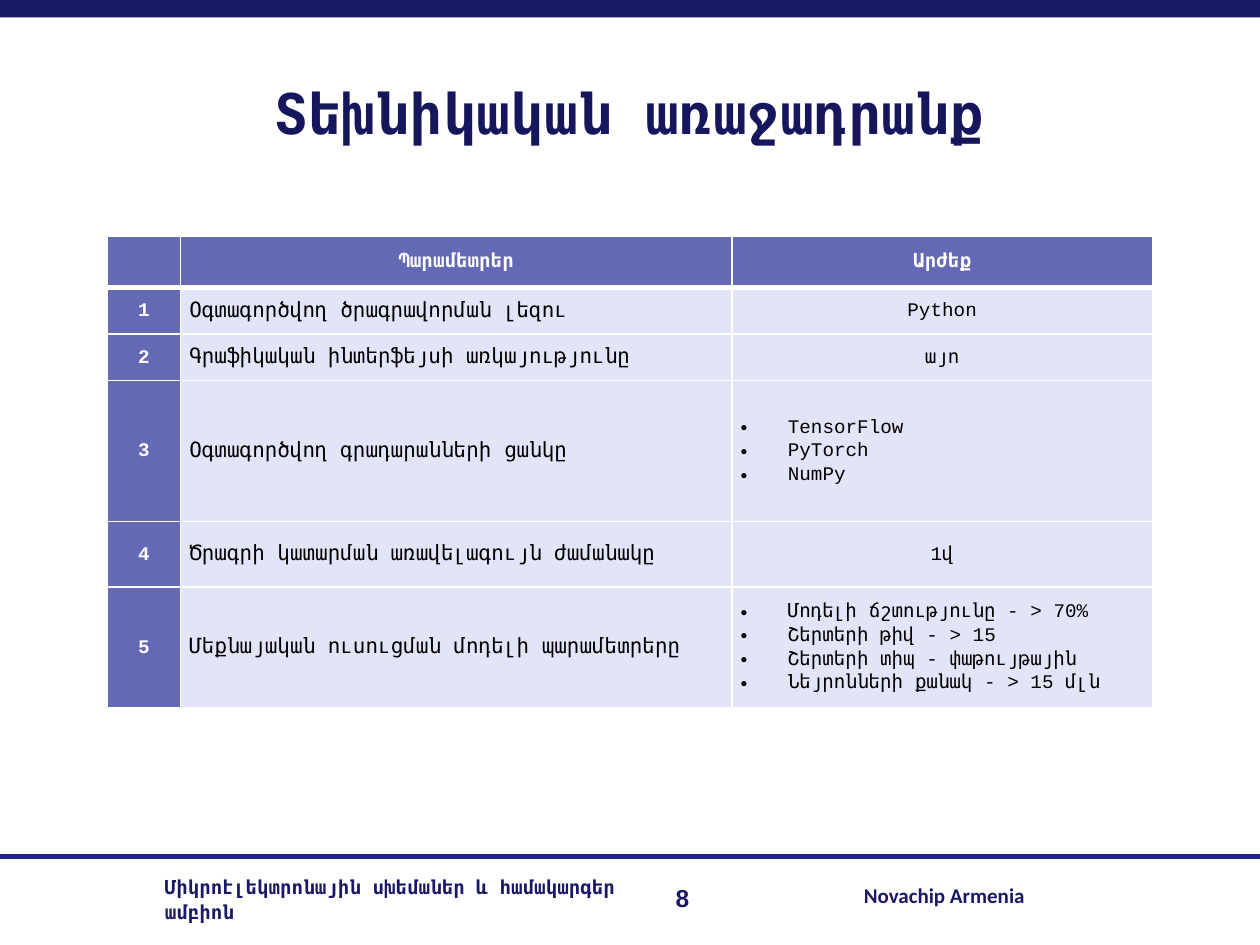
from lxml.etree import SubElement
from pptx import Presentation
from pptx.dml.color import RGBColor
from pptx.enum.shapes import MSO_CONNECTOR, MSO_SHAPE
from pptx.enum.text import MSO_ANCHOR, MSO_AUTO_SIZE, PP_ALIGN
from pptx.oxml import parse_xml
from pptx.oxml.ns import nsdecls, qn
from pptx.util import Pt

NAVY, TITLE_NAVY, RULE_BLUE = "191966", "16165D", "22228B"
HEADER_FILL, BODY_FILL = "6369B5", "E4E4F8"
WHITE, BLACK = "FFFFFF", "000000"
MONO = "Courier New"

COLUMN_WIDTHS = [42, 315, 240.5]
ROW_HEIGHTS = [29.5, 26.6, 26.6, 80.6, 37.4, 69.1]
HEADINGS = ["", "Պարամետրեր", "Արժեք"]
PARAMETERS = [
    ("Օգտագործվող ծրագրավորման լեզու", "Python"),
    ("Գրաֆիկական ինտերֆեյսի առկայությունը", "այո"),
    ("Օգտագործվող գրադարանների ցանկը", ["TensorFlow", "PyTorch", "NumPy"]),
    ("Ծրագրի կատարման առավելագույն ժամանակը", "1վ"),
    ("Մեքնայական ուսուցման մոդելի պարամետրերը", [
        "Մոդելի ճշտությունը - > 70%",
        "Շերտերի թիվ - > 15",
        "Շերտերի տիպ - փաթույթային",
        "Նեյրոնների քանակ - > 15 մլն",
    ]),
]


def color(value):
    return RGBColor.from_string(value)


def apply(target, values):
    for name, value in values.items():
        setattr(target, name, value)


def write(para, text, size, ink, bold=True, font=MONO, **layout):
    """Add one formatted span; layout holds paragraph attributes."""
    apply(para, layout)
    span = para.add_run()
    span.text = text
    apply(span.font, {"name": font, "size": Pt(size), "bold": bold})
    span.font.color.rgb = color(ink)


def add_bar(page, left, top, width, height, fill):
    bar = page.shapes.add_shape(MSO_SHAPE.RECTANGLE, Pt(left), Pt(top), Pt(width), Pt(height))
    bar.shadow.inherit = False
    bar.fill.solid()
    bar.fill.fore_color.rgb = color(fill)
    bar.line.fill.background()


def add_rule(page, top, width, ink):
    rule = page.shapes.add_connector(MSO_CONNECTOR.STRAIGHT, 0, Pt(top), Pt(720), Pt(top))
    rule.line.width = Pt(width)
    rule.line.color.rgb = color(ink)
    SubElement(rule._element.spPr, qn("a:effectLst"))


def add_label(page, left, top, width, height, text, size, **style):
    box = page.shapes.add_textbox(Pt(left), Pt(top), Pt(width), Pt(height))
    box.text_frame.word_wrap = True
    write(box.text_frame.paragraphs[0], text, size, NAVY, **style)


def set_title(page, text):
    title = page.shapes.title
    apply(title, {"left": Pt(36), "top": Pt(21.6), "width": Pt(647.3), "height": Pt(89.3)})
    apply(title.text_frame, {
        "word_wrap": True,
        "auto_size": MSO_AUTO_SIZE.NONE,
        "vertical_anchor": MSO_ANCHOR.MIDDLE,
    })
    write(title.text_frame.paragraphs[0], text, 32, TITLE_NAVY,
          alignment=PP_ALIGN.CENTER, line_spacing=0.93)


def set_borders(cell, **widths):
    properties = cell._tc.get_or_add_tcPr()
    for index, (side, width) in enumerate(widths.items()):
        properties.insert(index, parse_xml(
            f'<a:ln{side} {nsdecls("a")} w="{Pt(width)}"><a:solidFill>'
            f'<a:srgbClr val="{WHITE}"/></a:solidFill></a:ln{side}>'))


def add_bullet(para):
    properties = para._p.get_or_add_pPr()
    properties.set("marL", str(Pt(27)))
    properties.set("indent", str(Pt(-27)))
    SubElement(properties, qn("a:buFont"), typeface="Arial")
    SubElement(properties, qn("a:buChar"), char="•")


def fill_cell(cell, content, row, column):
    """Write a string, or a list as bullets, with the style of its place."""
    heading = row == 0 or column == 0
    bulleted = isinstance(content, list)
    apply(cell, {
        "margin_left": Pt(5), "margin_right": Pt(5), "margin_top": 0,
        "margin_bottom": 0, "vertical_anchor": MSO_ANCHOR.MIDDLE,
    })
    set_borders(cell, L=1, R=1, T=3 if row == 1 else 1, B=3 if row == 0 else 1)
    cell.fill.solid()
    cell.fill.fore_color.rgb = color(HEADER_FILL if heading else BODY_FILL)
    left_aligned = bulleted or (column == 1 and not heading)
    size = 12 if column == 1 and not heading else 11
    for index, text in enumerate(content if bulleted else [content]):
        frame = cell.text_frame
        para = frame.add_paragraph() if index else frame.paragraphs[0]
        write(para, text, size, WHITE if heading else BLACK, bold=heading,
              alignment=PP_ALIGN.LEFT if left_aligned else PP_ALIGN.CENTER,
              line_spacing=1.07)
        if bulleted:
            add_bullet(para)


def add_parameter_table(page):
    rows = [HEADINGS] + [
        [str(number), *parameter] for number, parameter in enumerate(PARAMETERS, 1)]
    table = page.shapes.add_table(
        len(rows), len(HEADINGS), Pt(61.2), Pt(134.8),
        Pt(sum(COLUMN_WIDTHS)), Pt(sum(ROW_HEIGHTS))).table
    for column, width in zip(table.columns, COLUMN_WIDTHS):
        column.width = Pt(width)
    for row, height in zip(table.rows, ROW_HEIGHTS):
        row.height = Pt(height)
    for row, contents in enumerate(rows):
        for column, content in enumerate(contents):
            fill_cell(table.cell(row, column), content, row, column)


def add_footer(page):
    add_rule(page, 489.6, 3, RULE_BLUE)
    add_label(page, 87.1, 495.4, 276.5, 36, "Միկրոէլեկտրոնային սխեմաներ և համակարգեր ամբիոն",
              11, line_spacing=1.08, space_before=Pt(5.6))
    add_label(page, 353.5, 502.6, 47.5, 22.3, "8", 14, font="Arial",
              alignment=PP_ALIGN.RIGHT, line_spacing=0.93)
    add_label(page, 445, 499.7, 147.6, 24.5, "Novachip Armenia", 12, font="Calibri",
              alignment=PP_ALIGN.RIGHT, line_spacing=1.08, space_before=Pt(5.6))


def main():
    deck = Presentation()
    apply(deck, {"slide_width": Pt(720), "slide_height": Pt(540)})
    page = deck.slides.add_slide(deck.slide_layouts[5])
    add_bar(page, 0, 0, 720, 10, NAVY)
    add_footer(page)
    set_title(page, "Տեխնիկական առաջադրանք")
    add_parameter_table(page)
    deck.save("out.pptx")


if __name__ == "__main__":
    main()
